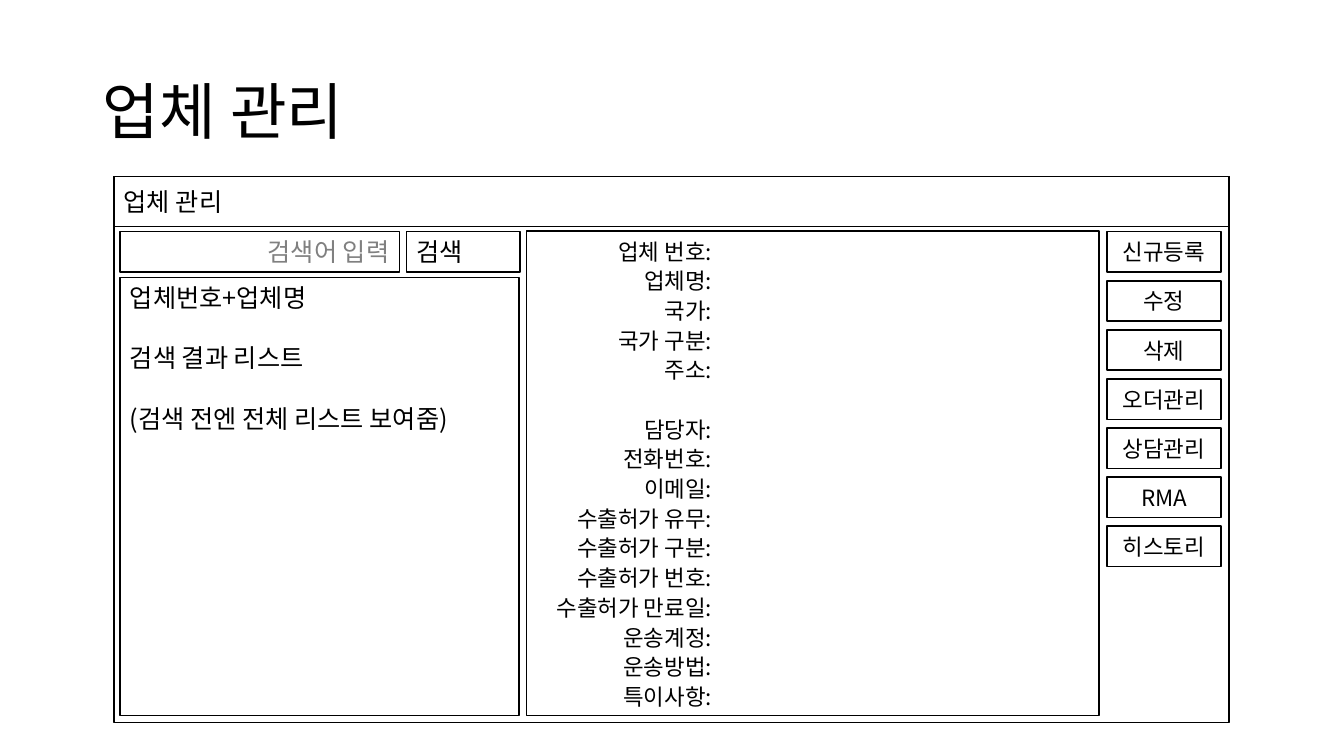
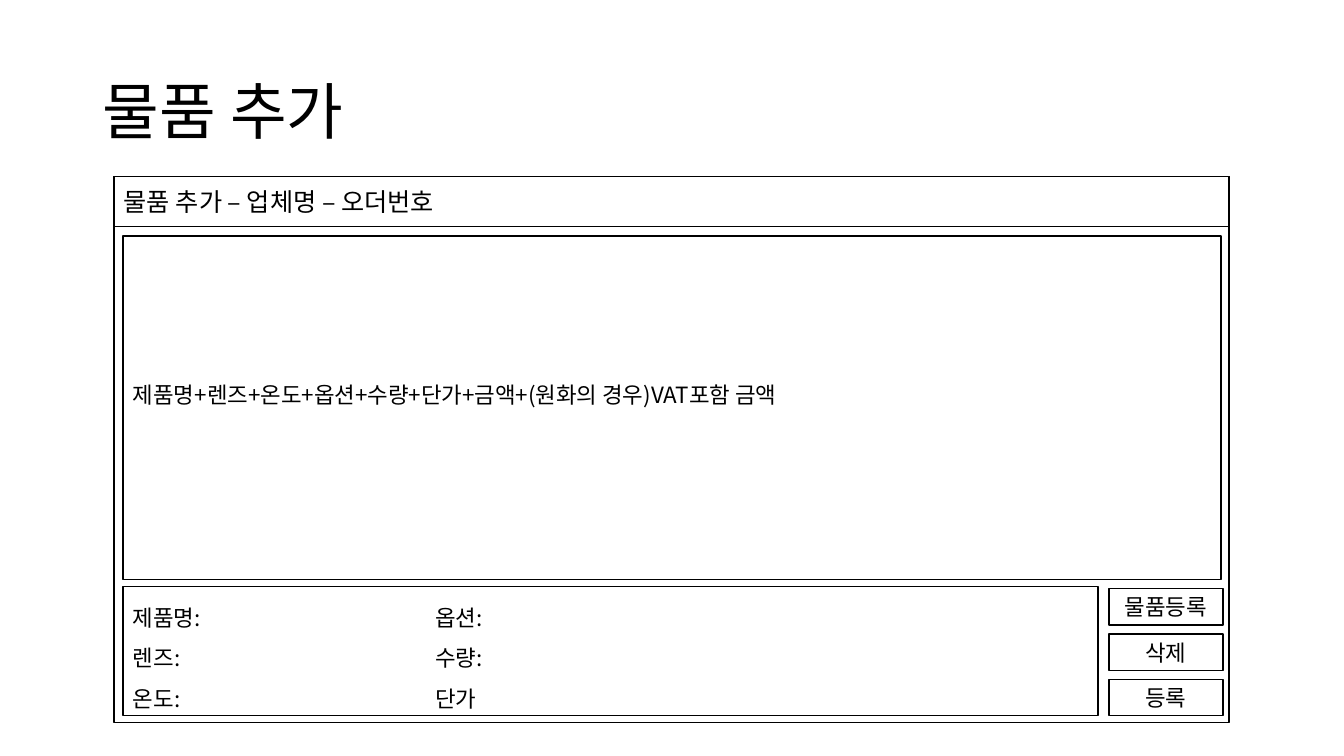
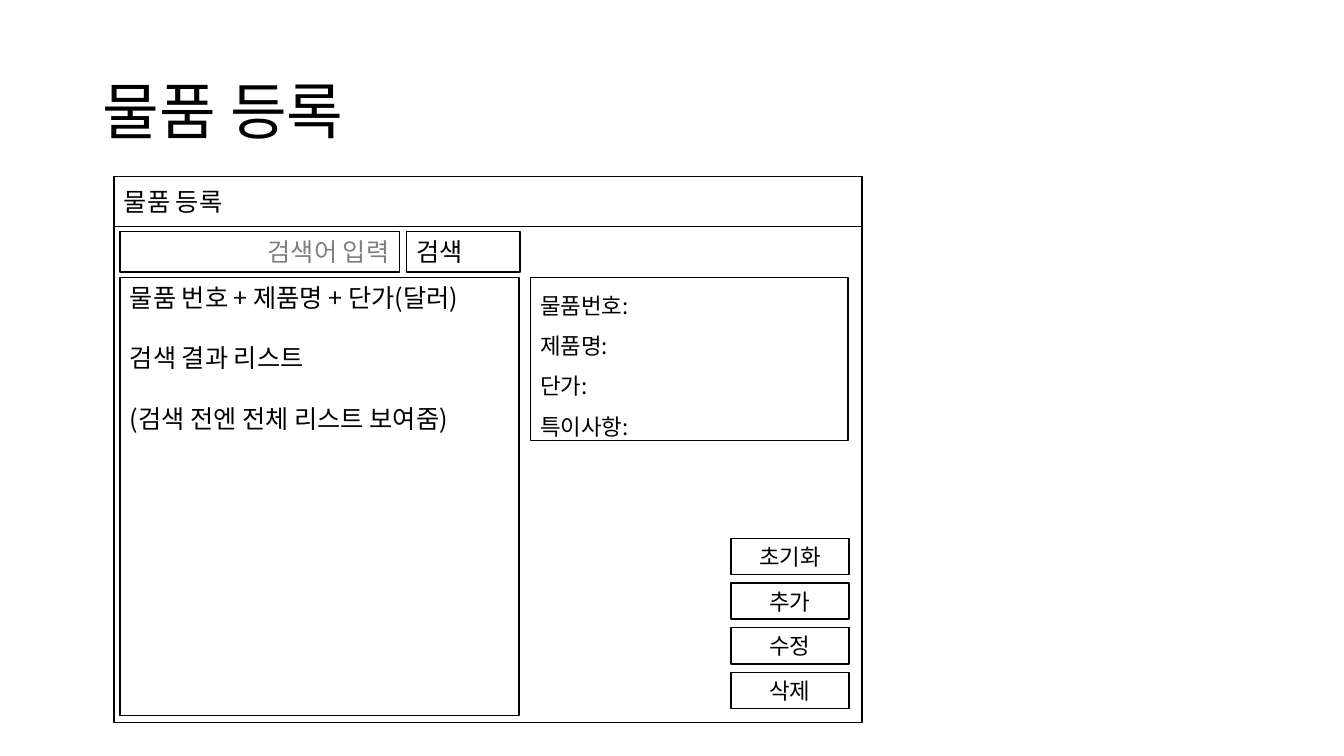
from lxml.etree import SubElement
from pptx import Presentation
from pptx.dml.color import RGBColor
from pptx.enum.shapes import MSO_SHAPE as Preset
from pptx.enum.text import MSO_ANCHOR as Anchor, MSO_AUTO_SIZE as AutoSize, PP_ALIGN as Align
from pptx.oxml.ns import qn
from pptx.util import Inches, Pt

# Shared style
COLORS = {"ink": "000000", "hint": "808080"}
FONT = "Noto Sans CJK KR"
LINE_HEIGHT = 1.2
TITLE, LARGE, SMALL = 44, 18, 16

# Shared grid, in inches
WINDOW_LEFT, WINDOW_TOP, WINDOW_HEIGHT = 1.13, 1.75, 5.42
WIDE, NARROW = 11.06, 7.42
BAR_HEIGHT = 0.5
LIST_LEFT, LIST_TOP, LIST_WIDTH = 1.19, 2.75, 3.96
SEARCH_TOP, ROW_HEIGHT = 2.3, 0.4
BOTTOM = 7.1


def color(name):
    return RGBColor.from_string(COLORS[name])


def write(frame, text, size=SMALL, ink="ink", align=Align.LEFT, anchor=Anchor.TOP,
          spacing=1, after=0, gaps=(), tab=None):
    """Write one paragraph per line; gaps lists the lines set off by a line's height."""
    frame.word_wrap = True
    frame.auto_size = AutoSize.NONE
    frame.vertical_anchor = anchor
    pitch = size * LINE_HEIGHT * spacing
    for index, line in enumerate(text.split("\n")):
        paragraph = frame.add_paragraph() if index else frame.paragraphs[0]
        paragraph.alignment = align
        paragraph.line_spacing = Pt(pitch)
        paragraph.space_before = Pt(pitch + after if index in gaps else 0)
        paragraph.space_after = Pt(after)
        run = paragraph.add_run()
        run.text = line
        run.font.size = Pt(size)
        run.font.name = FONT
        run.font.color.rgb = color(ink)
        SubElement(run.font._element, qn("a:ea"), typeface=FONT)
        if tab:
            stops = SubElement(paragraph._p.get_or_add_pPr(), qn("a:tabLst"))
            SubElement(stops, qn("a:tab"), pos=str(Inches(tab)), algn="l")


def panel(slide, left, top, width, height, text="", **style):
    """Outlined box, with text if given."""
    box = slide.shapes.add_shape(Preset.RECTANGLE, *map(Inches, (left, top, width, height)))
    box.shadow.inherit = False
    box.fill.background()
    box.line.color.rgb = color("ink")
    box.line.width = Pt(1)
    if text:
        write(box.text_frame, text, **style)
    return box


def label(slide, left, top, width, height, text, **style):
    """Text without an outline."""
    box = slide.shapes.add_textbox(*map(Inches, (left, top, width, height)))
    write(box.text_frame, text, **style)


def buttons(slide, names, left, first, last, width, height):
    """Column of buttons, evenly spaced from the first top to the last."""
    step = (last - first) / (len(names) - 1)
    for index, name in enumerate(names):
        panel(slide, left, first + index * step, width, height, name,
              align=Align.CENTER, anchor=Anchor.MIDDLE)


def window_slide(deck, title, caption, width):
    """Slide with a title and an empty window with its caption bar."""
    slide = deck.slides.add_slide(deck.slide_layouts[5])
    heading = slide.shapes.title
    heading.left, heading.top, heading.width, heading.height = map(
        Inches, (0.92, 0.4, 11.5, 1.45))
    write(heading.text_frame, title, size=TITLE, anchor=Anchor.MIDDLE, spacing=0.9)
    panel(slide, WINDOW_LEFT, WINDOW_TOP, width, WINDOW_HEIGHT)
    panel(slide, WINDOW_LEFT, WINDOW_TOP, width, BAR_HEIGHT)
    label(slide, WINDOW_LEFT, WINDOW_TOP + 0.05, width, ROW_HEIGHT, caption, size=LARGE)
    return slide


def search_list(slide, columns):
    """Search field, search button and the result list below them."""
    panel(slide, LIST_LEFT, SEARCH_TOP, 2.77, ROW_HEIGHT, "검색어 입력",
          size=LARGE, ink="hint", align=Align.RIGHT)
    panel(slide, 4.03, SEARCH_TOP, 1.13, ROW_HEIGHT, "검색", size=LARGE)
    panel(slide, LIST_LEFT, LIST_TOP, LIST_WIDTH, BOTTOM - LIST_TOP,
          columns + "\n검색 결과 리스트\n(검색 전엔 전체 리스트 보여줌)",
          size=LARGE, gaps=(1, 2))


def company_management(deck):
    slide = window_slide(deck, "업체 관리", "업체 관리", WIDE)
    search_list(slide, "업체번호+업체명")
    fields = ["업체 번호", "업체명", "국가", "국가 구분", "주소", "담당자", "전화번호",
              "이메일", "수출허가 유무", "수출허가 구분", "수출허가 번호",
              "수출허가 만료일", "운송계정", "운송방법", "특이사항"]
    panel(slide, 5.22, 2.29, 5.68, BOTTOM - 2.29)
    label(slide, 5.22, 2.31, 1.94, 4.83, "\n".join(field + ":" for field in fields),
          align=Align.RIGHT, after=2, gaps=(fields.index("담당자"),))
    buttons(slide, ["신규등록", "수정", "삭제", "오더관리", "상담관리", "RMA", "히스토리"],
            10.98, SEARCH_TOP, 5.22, 1.13, ROW_HEIGHT)


def item_adding(deck):
    slide = window_slide(deck, "물품 추가", "물품 추가 – 업체명 – 오더번호", WIDE)
    order_lines = panel(slide, 1.22, 2.34, 10.89, 3.41,
                        "제품명+렌즈+온도+옵션+수량+단가+금액+(원화의 경우)VAT포함 금액",
                        anchor=Anchor.MIDDLE)
    order_lines.text_frame.margin_bottom = Inches(0.32)
    panel(slide, 1.22, 5.82, 9.67, BOTTOM - 5.82,
          "제품명:\t옵션:\n렌즈:\t수량:\n온도:\t단가",
          anchor=Anchor.MIDDLE, spacing=1.5, tab=3)
    buttons(slide, ["물품등록", "삭제", "등록"], 11, 5.84, 6.74, 1.13, 0.36)


def item_registration(deck):
    slide = window_slide(deck, "물품 등록", "물품 등록", NARROW)
    search_list(slide, "물품 번호 + 제품명 + 단가(달러)")
    panel(slide, 5.26, LIST_TOP, 3.15, 1.62, "물품번호:\n제품명:\n단가:\n특이사항:",
          anchor=Anchor.MIDDLE, spacing=1.5)
    buttons(slide, ["초기화", "추가", "수정", "삭제"], 7.25, 5.34, 6.67, 1.17, 0.36)


def main():
    deck = Presentation()
    deck.slide_width, deck.slide_height = Inches(13.33), Inches(7.5)
    company_management(deck)
    item_adding(deck)
    item_registration(deck)
    deck.save("out.pptx")


if __name__ == "__main__":
    main()
